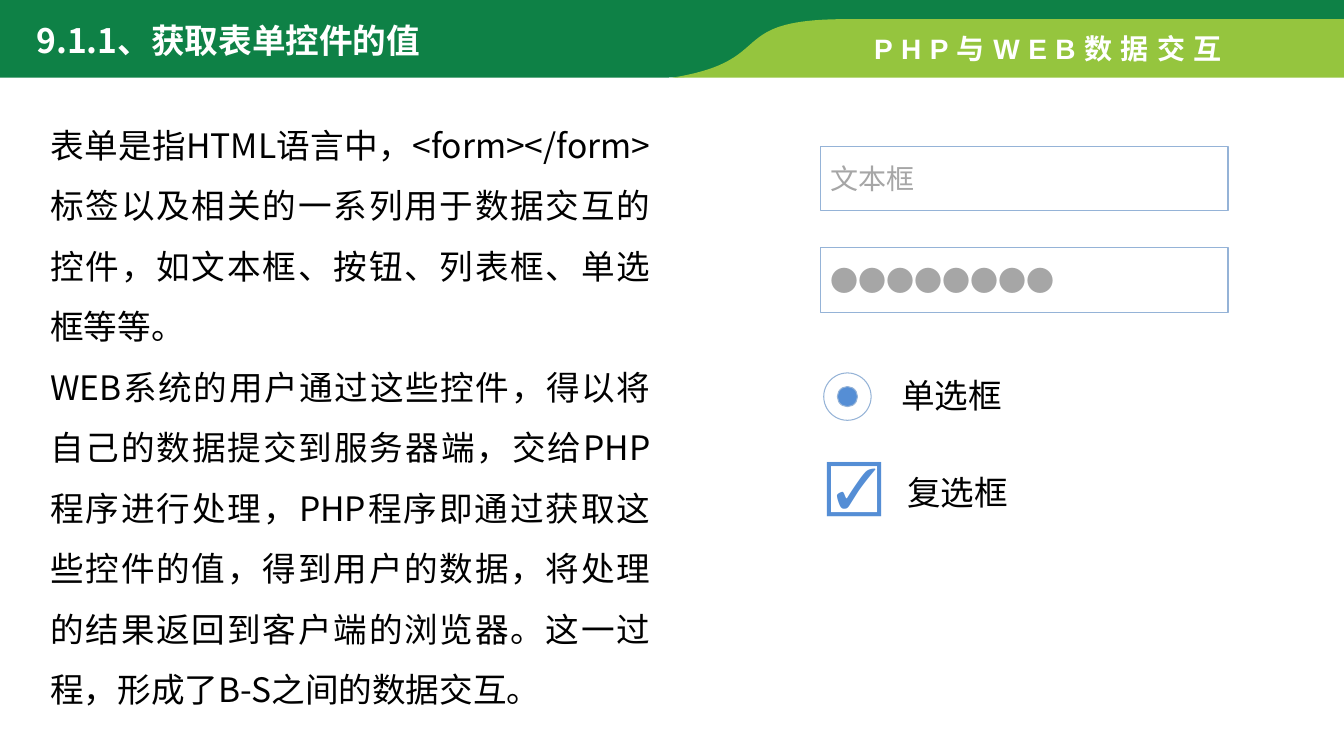
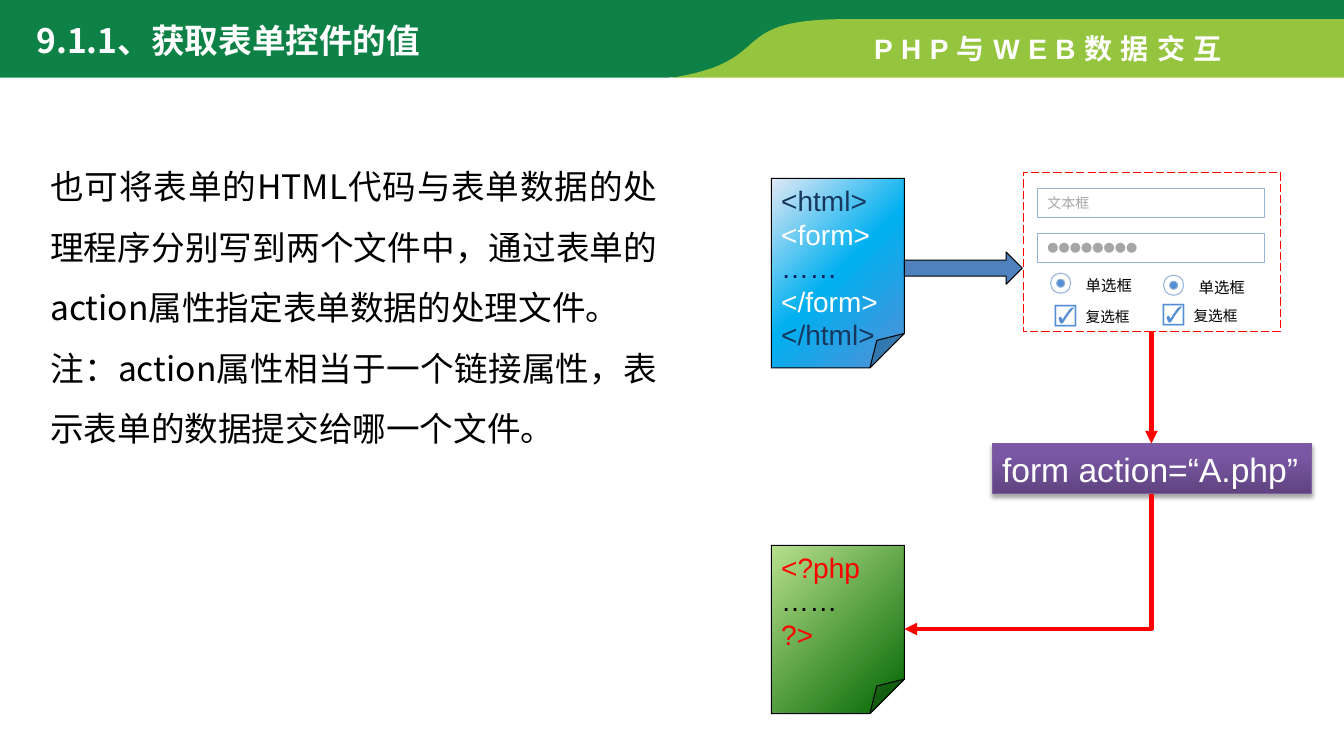
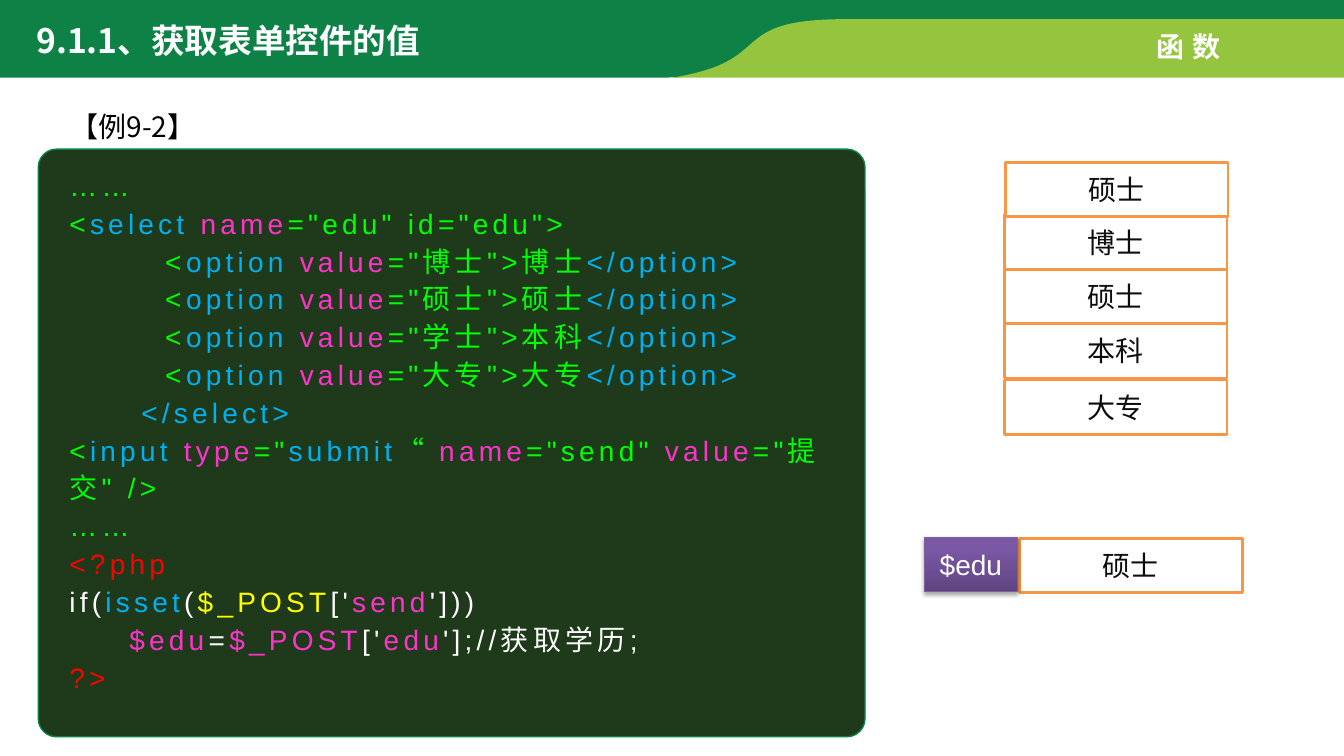
from dataclasses import dataclass
from typing import Optional

from lxml.etree import SubElement
from pptx import Presentation
from pptx.dml.color import RGBColor
from pptx.enum.dml import MSO_LINE
from pptx.enum.shapes import MSO_CONNECTOR, MSO_SHAPE
from pptx.enum.text import MSO_ANCHOR, PP_ALIGN
from pptx.oxml.ns import qn
from pptx.util import Emu, Pt

PX = 9144  # 100 px to the inch
SANS, ARIAL = "Noto Sans CJK SC", "Arial"
TITLE = "9.1.1、获取表单控件的值"
COURSE = "PHP与WEB数据交互"

COLORS = {
    "white": "FFFFFF", "black": "000000", "ink": "0D0D0D", "gray": "A6A6A6",
    "band": "0E8146", "lime": "95C53E", "outline": "95B3D7", "accent": "558ED5",
    "arrow": "4F81BD", "navy": "17375E", "deep": "002060", "red": "FF0000",
    "purple": "7D60A0", "orange": "F79646", "panel": "1E3A1A",
    "green": "00FF00", "blue": "00B0F0", "pink": "FF33CC", "yellow": "FFFF00",
}
# Stops (percent, colour) and the clockwise angle
PURPLE_GRAD = ([(0, "5F4480"), (80, "7B58A6"), (100, "7C57A8")], 270)
HTML_GRAD = ([(0, "558ED5"), (50, "00B0F0"), (100, "E1E8F5")], 225)
PHP_GRAD = ([(0, "006600"), (100, "B8E08C")], 225)


@dataclass
class Run:
    text: str
    color: str = "black"
    size: float = 20
    font: str = ARIAL
    bold: bool = False
    spacing: int = 0


@dataclass
class Para:
    runs: list[Run]
    align: PP_ALIGN = PP_ALIGN.LEFT
    leading: object = None
    tab: int = 0


@dataclass
class Style:
    fill: Optional[str] = None
    line: Optional[str] = None
    width: float = 0.75
    grad: Optional[tuple] = None
    dash: Optional[MSO_LINE] = None
    adj: Optional[float] = None
    shadow: bool = False


FIELD = Style(line="outline")
DOT = Style(fill="accent", line="outline")
TAG = Style(grad=PURPLE_GRAD, line="purple", shadow=True)
OPTION = Style(fill="white", line="orange", width=2)


def px(*values: float) -> list[Emu]:
    return [Emu(round(v * PX)) for v in values]


def rgb(name: str) -> RGBColor:
    return RGBColor.from_string(COLORS[name])


# Text
def write(sp, paras: list[Para], anchor=MSO_ANCHOR.TOP, wrap: bool = True) -> None:
    tf = sp.text_frame
    tf.word_wrap = wrap
    tf.vertical_anchor = anchor
    for i, para in enumerate(paras):
        p = tf.add_paragraph() if i else tf.paragraphs[0]
        p.alignment = para.align
        if para.leading:
            p.line_spacing = para.leading
        if para.tab:
            tabs = SubElement(p._p.get_or_add_pPr(), qn("a:tabLst"))
            SubElement(tabs, qn("a:tab"), pos=str(para.tab * PX), algn="l")
        for run in para.runs:
            r = p.add_run()
            r.text = run.text
            r.font.size = Pt(run.size)
            r.font.bold = run.bold
            r.font.color.rgb = rgb(run.color)
            r.font.name = run.font
            rpr = r._r.get_or_add_rPr()
            SubElement(rpr, qn("a:ea"), typeface=SANS)
            if run.spacing:
                rpr.set("spc", str(run.spacing * 100))


def add_text(shapes, at: tuple, paras: list[Para], anchor=MSO_ANCHOR.TOP, wrap: bool = True) -> None:
    write(shapes.add_textbox(*px(*at)), paras, anchor, wrap)


def add_body(slide, at: tuple, texts: list[str]) -> None:
    add_text(slide.shapes, at, [Para([Run(t, size=24, font=SANS)], PP_ALIGN.JUSTIFY, 1.5) for t in texts])


# Shapes
def paint_gradient(sp, stops: list[tuple], angle: int) -> None:
    sp.fill.gradient()
    sp.fill.gradient_angle = 360 - angle
    stop_list = sp.element.spPr.find(qn("a:gradFill")).find(qn("a:gsLst"))
    stop_list.clear()
    for percent, color in stops:
        gs = SubElement(stop_list, qn("a:gs"), pos=str(percent * 1000))
        SubElement(gs, qn("a:srgbClr"), val=color)


def set_corner(sp, ratio: float) -> None:
    guides = sp.element.spPr.find(qn("a:prstGeom")).find(qn("a:avLst"))
    guides.clear()
    SubElement(guides, qn("a:gd"), name="adj", fmla=f"val {round(ratio * 100000)}")


def add_shape(shapes, kind: MSO_SHAPE, at: tuple, style: Style):
    sp = shapes.add_shape(kind, *px(*at))
    sp.shadow.inherit = False
    if style.adj is not None:
        set_corner(sp, style.adj)
    if style.grad:
        paint_gradient(sp, *style.grad)
    elif style.fill:
        sp.fill.solid()
        sp.fill.fore_color.rgb = rgb(style.fill)
    else:
        sp.fill.background()
    sp.line.color.rgb = rgb(style.line)
    sp.line.width = Pt(style.width)
    if style.dash:
        sp.line.dash_style = style.dash
    if style.shadow:
        effects = sp.element.spPr.find(qn("a:effectLst"))
        shadow = SubElement(effects, qn("a:outerShdw"), blurRad="40000", dist="23000",
                            dir="5400000", rotWithShape="0")
        color = SubElement(shadow, qn("a:srgbClr"), val=COLORS["black"])
        SubElement(color, qn("a:alpha"), val="35000")
    return sp


def add_arrow(slide, start: tuple, end: tuple, kind=MSO_CONNECTOR.STRAIGHT):
    cx = slide.shapes.add_connector(kind, *px(*start, *end))
    cx.line.color.rgb = rgb("red")
    cx.line.width = Pt(3)
    sp_pr = cx.element.spPr
    SubElement(sp_pr.find(qn("a:ln")), qn("a:tailEnd"), type="triangle")
    SubElement(sp_pr, qn("a:effectLst"))
    return cx


def add_down_left_arrow(slide, start: tuple, end: tuple) -> None:
    """One-bend arrow: a right-then-down elbow turned by 90 degrees."""
    mid_x, mid_y = (start[0] + end[0]) / 2, (start[1] + end[1]) / 2
    half_w, half_h = (end[1] - start[1]) / 2, (start[0] - end[0]) / 2
    cx = add_arrow(slide, (mid_x - half_w, mid_y - half_h),
                   (mid_x + half_w, mid_y + half_h), MSO_CONNECTOR.ELBOW)
    sp_pr = cx.element.spPr
    sp_pr.find(qn("a:prstGeom")).set("prst", "bentConnector2")
    sp_pr.find(qn("a:xfrm")).set("rot", "5400000")


# Form controls
def add_field(shapes, at: tuple, text: str, size: float) -> None:
    sp = add_shape(shapes, MSO_SHAPE.RECTANGLE, at, FIELD)
    write(sp, [Para([Run(text, "gray", size, SANS)])], MSO_ANCHOR.MIDDLE)


def add_radio(shapes, x: int, y: int, ring: int, dot: int) -> None:
    inset = (ring - dot) / 2
    add_shape(shapes, MSO_SHAPE.OVAL, (x, y, ring, ring), FIELD)
    add_shape(shapes, MSO_SHAPE.OVAL, (x + inset, y + inset, dot, dot), DOT)


def add_checkbox(shapes, at: tuple, mark: float, label: float, tab: int) -> None:
    runs = [Run("☑", "accent", mark), Run("\t复选框", size=label)]
    add_text(shapes, at, [Para(runs, tab=tab)], MSO_ANCHOR.BOTTOM)


def add_option(slide, x: int, y: int, text: str) -> None:
    sp = add_shape(slide.shapes, MSO_SHAPE.RECTANGLE, (x, y, 221, 54), OPTION)
    write(sp, [Para([Run(text, "ink", font=SANS)], PP_ALIGN.CENTER)], MSO_ANCHOR.MIDDLE)


def add_file(slide, at: tuple, grad: tuple, lines: list[tuple]) -> None:
    sp = add_shape(slide.shapes, MSO_SHAPE.FOLDED_CORNER, at, Style(grad=grad, line="black", adj=0.259))
    write(sp, [Para([Run(text, color)]) for text, color in lines])


# Shared header
def bezier(a: tuple, b: tuple, c: tuple, d: tuple, steps: int = 40) -> list[tuple]:
    def point(t: float) -> tuple:
        weights = ((1 - t) ** 3, 3 * t * (1 - t) ** 2, 3 * t * t * (1 - t), t ** 3)
        return tuple(sum(w * q[k] for w, q in zip(weights, (a, b, c, d))) for k in (0, 1))
    return [point(i / steps) for i in range(steps + 1)]


def put_bands_on_layout(slide) -> None:
    green = [(0, -3), (1333, -3), (1333, 24), (827, 24),
             *bezier((809, 28), (727, 44), (770, 77), (655, 77)), (0, 77)]
    lime = [(839, 19), (1333, 19), (1333, 77),
            *bezier((667, 77), (773, 60), (717, 19), (839, 19))]
    for i, (color, points) in enumerate((("band", green), ("lime", lime))):
        points = [px(*point) for point in points]
        builder = slide.shapes.build_freeform(*points[0], scale=1.0)
        builder.add_line_segments(points[1:], close=True)
        sp = builder.convert_to_shape()
        sp.shadow.inherit = False
        sp.fill.solid()
        sp.fill.fore_color.rgb = rgb(color)
        sp.line.fill.background()
        sp.element.nvSpPr.cNvPr.set("id", str(90 + i))
        slide.slide_layout.shapes.element.insert(2 + i, sp.element)


def add_slide(prs, section: str, section_at: tuple):
    slide = prs.slides.add_slide(prs.slide_layouts[5])
    title = slide.shapes.title
    title.left, title.top, title.width, title.height = px(26, 15, 439, 50)
    write(title, [Para([Run(TITLE, "white", 24, SANS, True)])])
    add_text(slide.shapes, section_at, [Para([Run(section, "white", bold=True, spacing=6)])], wrap=False)
    return slide


# Slides
def build_controls(prs) -> None:
    slide = add_slide(prs, COURSE, (857, 26, 385, 44))
    put_bands_on_layout(slide)
    add_body(slide, (40, 99, 615, 616), [
        "表单是指HTML语言中，<form></form>标签以及相关的一系列用于数据交互的控件，如文本框、按钮、列表框、单选框等等。",
        "WEB系统的用户通过这些控件，得以将自己的数据提交到服务器端，交给PHP程序进行处理，"
        "PHP程序即通过获取这些控件的值，得到用户的数据，将处理的结果返回到客户端的浏览器。"
        "这一过程，形成了B-S之间的数据交互。",
    ])
    shapes = slide.shapes
    for y, text in ((145, "文本框"), (246, "●" * 8)):
        add_field(shapes, (814, y, 404, 64), text, 20)
    add_radio(shapes, 817, 370, 47, 20)
    add_text(shapes, (884, 367, 121, 50), [Para([Run("单选框", size=24)])], wrap=False)
    add_checkbox(shapes, (810, 441, 229, 77), 40, 24, 80)


def build_flow(prs) -> None:
    slide = add_slide(prs, COURSE, (857, 26, 385, 44))
    add_body(slide, (40, 140, 622, 313), [
        "也可将表单的HTML代码与表单数据的处理程序分别写到两个文件中，通过表单的action属性指定表单数据的处理文件。",
        "注：action属性相当于一个链接属性，表示表单的数据提交给哪一个文件。",
    ])
    add_file(slide, (765, 177, 132, 188), HTML_GRAD, [
        ("<html>", "navy"), ("<form>", "white"), ("……", "deep"), ("</form>", "white"), ("</html>", "navy")])
    add_file(slide, (765, 541, 132, 167), PHP_GRAD, [
        ("<?php", "red"), ("……", "black"), ("?>", "red")])

    # Small form
    form = slide.shapes.add_group_shape().shapes
    add_shape(form, MSO_SHAPE.RECTANGLE, (1015, 171, 255, 158), Style(line="red", dash=MSO_LINE.LONG_DASH))
    add_field(form, (1029, 187, 225, 29), "文本框", 10)
    add_field(form, (1029, 232, 225, 28), "●" * 8, 8)
    for x, y, check_x, check_y in ((1042, 271, 1036, 292), (1154, 273, 1143, 291)):
        add_radio(form, x, y, 20, 8)
        add_text(form, (x + 25, y - 2, 70, 29), [Para([Run("单选框", size=11)])])
        add_checkbox(form, (check_x, check_y, 102, 37), 16, 10.5, 31)

    # Flow from page to handler
    action = add_shape(slide.shapes, MSO_SHAPE.RECTANGLE, (984, 440, 317, 50), TAG)
    write(action, [Para([Run("form action=“A.php”", "white", 24)])], wrap=False)
    add_shape(slide.shapes, MSO_SHAPE.RIGHT_ARROW, (897, 250, 117, 32), Style(fill="arrow", line="black"))
    add_down_left_arrow(slide, (1142, 490), (897, 624))
    add_arrow(slide, (1142, 329), (1142, 440))


def option_code(value: str, label: str) -> list[tuple]:
    return [("        <", "green"), ("option ", "blue"), ("value", "pink"),
            (f'="{value}">{label}', "green"), ("</option>", "blue")]


CODE = [
    [("……", "green")],
    [("<", "green"), ("select ", "blue"), ("name", "pink"), ('="edu" id="edu">', "green")],
    *[option_code(*pair) for pair in (("博士", "博士"), ("硕士", "硕士"), ("学士", "本科"), ("大专", "大专"))],
    [("      </select>", "blue")],
    [("<", "green"), ("input", "blue"), (" type", "pink"), ('="', "green"), ("submit", "blue"),
     ("“ ", "green"), ("name", "pink"), ('="send" ', "green"), ("value", "pink"), ('="提交" />', "green")],
    [("……", "green")],
    [("<?php", "red")],
    [("if(", "white"), ("isset", "blue"), ("(", "white"), ("$_POST", "yellow"),
     ("['", "white"), ("send", "pink"), ("']))", "white")],
    [("     $edu", "pink"), ("=", "white"), ("$_POST", "pink"), ("['", "white"),
     ("edu", "pink"), ("'];//获取学历;", "white")],
    [("?>", "red")],
]


def build_example(prs) -> None:
    slide = add_slide(prs, "函数", (1137, 24, 93, 44))
    shapes = slide.shapes
    add_text(shapes, (60, 87, 406, 53), [Para([Run("【例9-2】", font=SANS)], PP_ALIGN.JUSTIFY, 1.5)])

    # Code panel
    add_shape(shapes, MSO_SHAPE.ROUNDED_RECTANGLE, (38, 148, 820, 583),
              Style(fill="panel", line="band", width=1, adj=0.031))
    add_text(shapes, (59, 158, 799, 540), [
        Para([Run(text, color, spacing=3) for text, color in line], leading=Pt(27)) for line in CODE])

    # Opened list and the value it yields
    for x, y, text in ((996, 213, "博士"), (996, 321, "本科"), (996, 377, "大专"),
                       (996, 267, "硕士"), (997, 161, "硕士"), (1011, 534, "硕士")):
        add_option(slide, x, y, text)
    variable = add_shape(shapes, MSO_SHAPE.RECTANGLE, (917, 533, 92, 54), TAG)
    write(variable, [Para([Run("$edu", "white")], PP_ALIGN.CENTER)], MSO_ANCHOR.MIDDLE)


def main() -> None:
    prs = Presentation()
    prs.slide_width, prs.slide_height = px(1333, 750)
    for build in (build_controls, build_flow, build_example):
        build(prs)
    prs.save("out.pptx")


if __name__ == "__main__":
    main()
